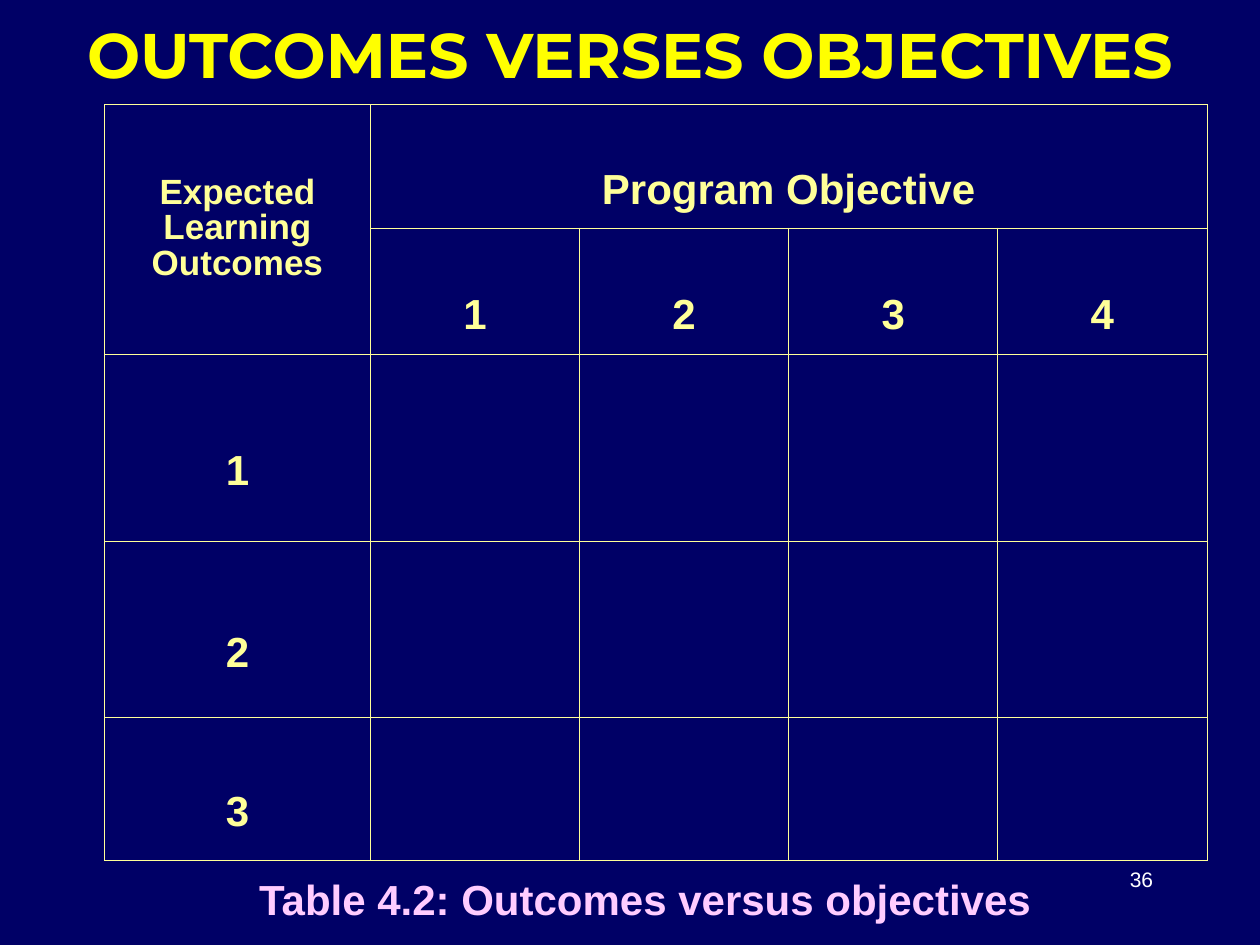
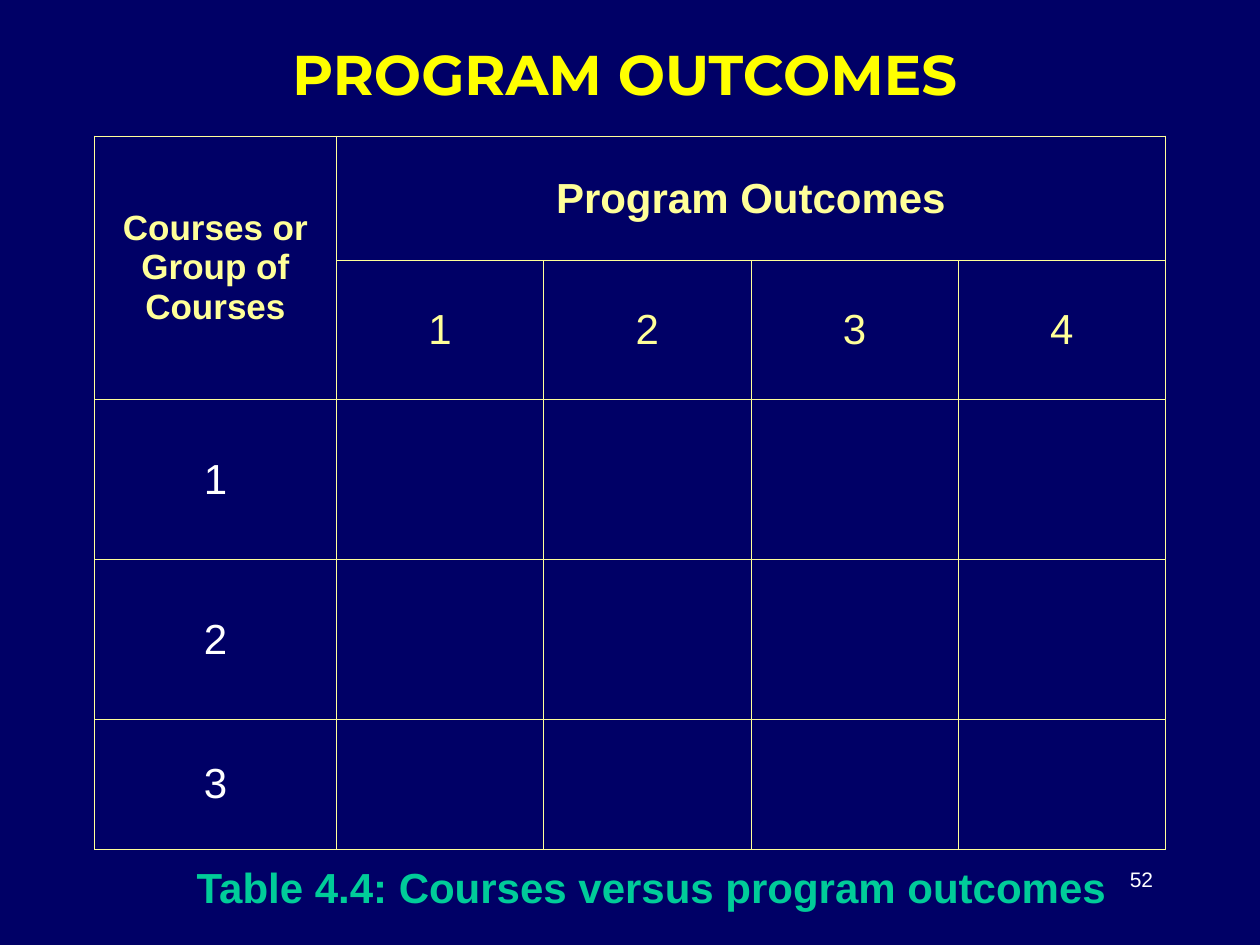
from lxml import etree
from pptx import Presentation
from pptx.dml.color import RGBColor
from pptx.enum.text import MSO_ANCHOR as Anchor, PP_ALIGN as Align
from pptx.oxml.ns import qn
from pptx.util import Inches, Pt

NAVY = RGBColor(0x00, 0x00, 0x66)
YELLOW = RGBColor(0xFF, 0xFF, 0x00)
CREAM = RGBColor(0xFF, 0xFF, 0x99)
PINK = RGBColor(0xFF, 0xCC, 0xFF)
GREEN = RGBColor(0x00, 0xCC, 0x99)
WHITE = RGBColor(0xFF, 0xFF, 0xFF)

BODY_FONT, TITLE_FONT = "Arial", "Montserrat"
BORDER_WIDTH = Pt(0.45)
PAGE_NUMBER_BOX = (7.17, 6.83, 2.08, 0.5)
OBJECTIVES = ["1", "2", "3", "4"]
ROW_LABELS = ["1", "2", "3"]

# Boxes are left, top, width, height in inches.
SLIDES = [
    dict(
        title="OUTCOMES VERSES OBJECTIVES", title_box=(0, 0.17, 10, 0.5), title_size=36,
        corner="Expected Learning Outcomes", corner_spacing=0.9,
        heading="Program Objective", spacing=2, numbers_bold=True, label_color=CREAM,
        table_at=(0.83, 0.83), table_width=8.75, first_column=2.11,
        rows=[0.98, 1, 1.49, 1.39, 1.14],
        caption="Table 4.2: Outcomes versus objectives",
        caption_box=(1.58, 6.92, 7.08, 0.42), caption_color=PINK, page="36",
    ),
    dict(
        title="PROGRAM OUTCOMES", title_box=(1.5, 0.33, 6.92, 0.5), title_size=32,
        corner="Courses or Group of Courses", corner_spacing=1,
        heading="Program Outcomes", spacing=1, numbers_bold=False, label_color=WHITE,
        table_at=(0.75, 1.08), table_width=8.5, first_column=1.92,
        rows=[0.99, 1.1, 1.27, 1.27, 1.03],
        caption="Table 4.4: Courses versus program outcomes",
        caption_box=(0.92, 6.75, 8.5, 0.58), caption_color=GREEN, page="52",
    ),
]


def write_text(frame, text, size=24, color=CREAM, bold=True, font=BODY_FONT,
               align=Align.CENTER, spacing=1):
    paragraph = frame.paragraphs[0]
    paragraph.alignment = align
    paragraph.line_spacing = spacing
    run = paragraph.add_run()
    run.text = text
    run.font.name, run.font.size, run.font.bold = font, Pt(size), bold
    run.font.color.rgb = color


def add_text_box(slide, box, text, anchor=Anchor.MIDDLE, wrap=True, **text_format):
    frame = slide.shapes.add_textbox(*map(Inches, box)).text_frame
    frame.word_wrap = wrap
    frame.vertical_anchor = anchor
    write_text(frame, text, **text_format)


def style_cell(cell):
    """Clear the fill and draw a thin cream line on all four sides."""
    cell.fill.background()
    cell.vertical_anchor = Anchor.MIDDLE
    properties = cell._tc.get_or_add_tcPr()
    for position, side in enumerate(("a:lnL", "a:lnR", "a:lnT", "a:lnB")):
        line = etree.Element(qn(side), w=str(int(BORDER_WIDTH)))
        fill = etree.SubElement(line, qn("a:solidFill"))
        etree.SubElement(fill, qn("a:srgbClr"), val=str(CREAM))
        properties.insert(position, line)


def add_matrix(slide, content):
    """Add the table with its two header rows and a numbered first column."""
    rows, width = content["rows"], content["table_width"]
    column_count = len(OBJECTIVES) + 1
    box = (*content["table_at"], width, sum(rows))
    table = slide.shapes.add_table(len(rows), column_count, *map(Inches, box)).table
    table.first_row = table.horz_banding = False

    first = content["first_column"]
    shared = (width - first) / len(OBJECTIVES)
    for index, column in enumerate(table.columns):
        column.width = Inches(shared if index else first)
    for row, height in zip(table.rows, rows):
        row.height = Inches(height)
    for cell in table.iter_cells():
        style_cell(cell)

    table.cell(0, 0).merge(table.cell(1, 0))
    table.cell(0, 1).merge(table.cell(0, column_count - 1))
    spacing, bold = content["spacing"], content["numbers_bold"]
    write_text(table.cell(0, 0).text_frame, content["corner"], size=20,
               spacing=content["corner_spacing"])
    write_text(table.cell(0, 1).text_frame, content["heading"], spacing=spacing)
    for column, number in enumerate(OBJECTIVES, start=1):
        write_text(table.cell(1, column).text_frame, number, bold=bold, spacing=spacing)
    for row, label in enumerate(ROW_LABELS, start=2):
        write_text(table.cell(row, 0).text_frame, label, bold=bold, spacing=spacing,
                   color=content["label_color"])


def add_slide(presentation, content):
    slide = presentation.slides.add_slide(presentation.slide_layouts[6])
    slide.background.fill.solid()
    slide.background.fill.fore_color.rgb = NAVY
    add_text_box(slide, content["caption_box"], content["caption"], wrap=False,
                 color=content["caption_color"])
    add_matrix(slide, content)
    add_text_box(slide, content["title_box"], content["title"], font=TITLE_FONT,
                 size=content["title_size"], color=YELLOW)
    add_text_box(slide, PAGE_NUMBER_BOX, content["page"], anchor=Anchor.TOP, size=12,
                 color=WHITE, bold=False, align=Align.RIGHT)


def main():
    presentation = Presentation()
    presentation.slide_width, presentation.slide_height = Inches(10), Inches(7.5)
    for content in SLIDES:
        add_slide(presentation, content)
    presentation.save("out.pptx")


if __name__ == "__main__":
    main()
